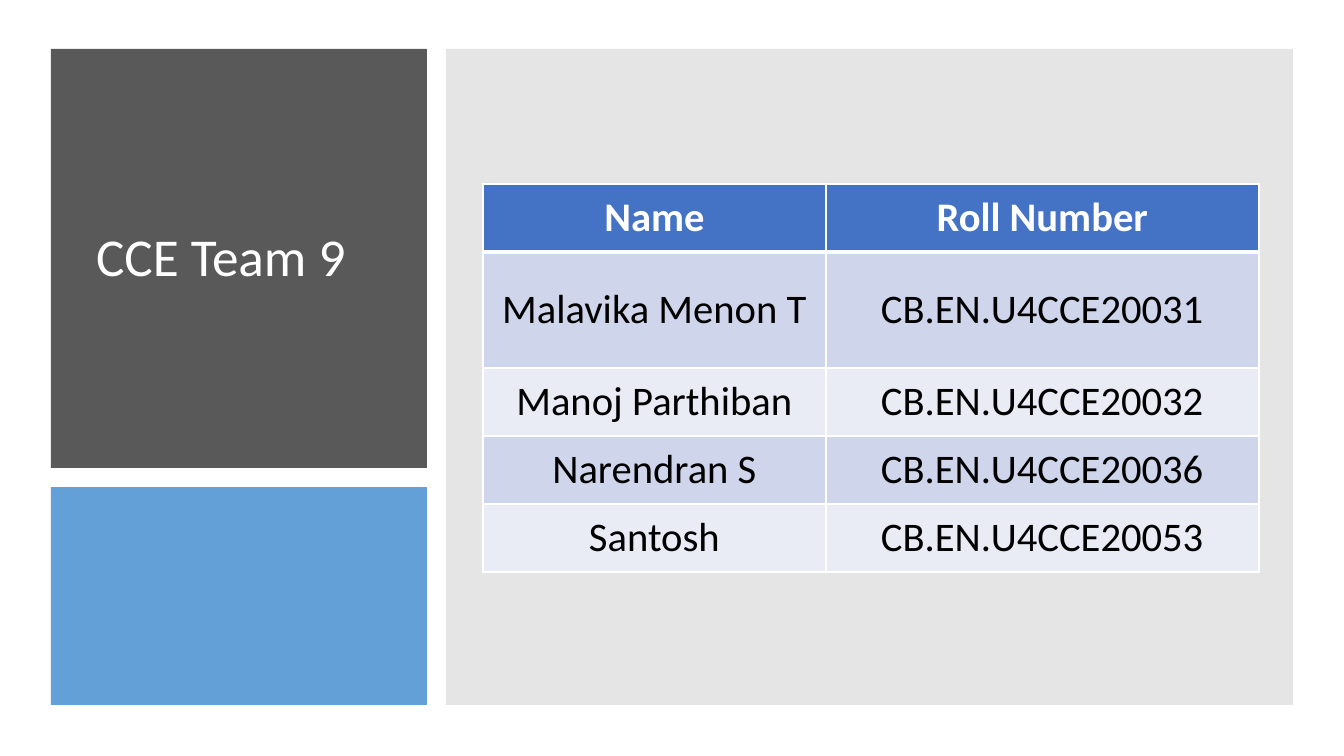
"""Build the CCE Team 9 slide with its member table."""
from lxml.etree import SubElement
from pptx import Presentation
from pptx.dml.color import RGBColor
from pptx.enum.shapes import MSO_SHAPE
from pptx.enum.text import MSO_ANCHOR, MSO_AUTO_SIZE, PP_ALIGN
from pptx.oxml.ns import qn
from pptx.util import Emu, Pt

COLORS = {
    "title panel": "595959",
    "accent panel": "5B9BD5",
    "table panel": "808080",
    "header": "4472C4",
    "odd row": "CFD5EA",
    "even row": "E9EBF5",
    "border": "FFFFFF",
    "light text": "FFFFFF",
    "dark text": "000000",
}
FONT = "Calibri"


def pixels(*lengths):
    return [Emu(round(length * 914400 / 100.8)) for length in lengths]


def format_paragraph(paragraph, size, color, alignment, bold=False):
    paragraph.alignment = alignment
    paragraph.font.name = FONT
    paragraph.font.size = Pt(size)
    paragraph.font.bold = bold
    paragraph.font.color.rgb = RGBColor.from_string(COLORS[color])


presentation = Presentation()
presentation.slide_width, presentation.slide_height = pixels(1344, 756)
slide = presentation.slides.add_slide(presentation.slide_layouts[5])

panels = [
    ("title panel", (51, 49, 376, 419), 100),
    ("accent panel", (51, 487, 376, 218), 95),
    ("table panel", (446, 49, 847, 656), 20),
]
for color, box, opacity in panels:
    panel = slide.shapes.add_shape(MSO_SHAPE.RECTANGLE, *pixels(*box))
    panel.shadow.inherit = False
    panel.line.fill.background()
    panel.fill.solid()
    panel.fill.fore_color.rgb = RGBColor.from_string(COLORS[color])
    if opacity < 100:
        color_element = panel.element.spPr.find(qn("a:solidFill"))[0]
        SubElement(color_element, qn("a:alpha"), val=str(opacity * 1000))

title = slide.shapes.title
title.left, title.top, title.width, title.height = pixels(86, 81, 313, 357)
title.text = "CCE Team 9"
title.text_frame.auto_size = MSO_AUTO_SIZE.NONE
title.text_frame.vertical_anchor = MSO_ANCHOR.MIDDLE
title_paragraph = title.text_frame.paragraphs[0]
title_paragraph.line_spacing = 0.9
format_paragraph(title_paragraph, 38, "light text", PP_ALIGN.LEFT)
panel.element.addnext(title.element)

members = [
    ("Name", "Roll Number"),
    ("Malavika Menon T", "CB.EN.U4CCE20031"),
    ("Manoj Parthiban", "CB.EN.U4CCE20032"),
    ("Narendran S", "CB.EN.U4CCE20036"),
    ("Santosh", "CB.EN.U4CCE20053"),
]
column_widths = pixels(343, 433)
row_heights = pixels(68, 116, 68, 68, 68)
table = slide.shapes.add_table(
    len(members), 2, *pixels(483, 184), sum(column_widths), sum(row_heights)
).table
for column, width in zip(table.columns, column_widths):
    column.width = width

for row_index, (row, member) in enumerate(zip(table.rows, members)):
    row.height = row_heights[row_index]
    is_header = row_index == 0
    fill = "header" if is_header else "odd row" if row_index % 2 else "even row"
    top_width = 3 if row_index == 1 else 1
    bottom_width = 3 if is_header else 1
    border_widths = {"L": 1, "R": 1, "T": top_width, "B": bottom_width}
    for cell, text in zip(row.cells, member):
        cell.text = text
        cell.vertical_anchor = MSO_ANCHOR.MIDDLE
        cell.margin_left, cell.margin_right = pixels(16, 16)
        cell.margin_top, cell.margin_bottom = pixels(8, 8)
        text_color = "light text" if is_header else "dark text"
        format_paragraph(
            cell.text_frame.paragraphs[0], 29, text_color, PP_ALIGN.CENTER, is_header
        )
        properties = cell._tc.get_or_add_tcPr()
        for side, width in border_widths.items():
            border = SubElement(properties, qn(f"a:ln{side}"), w=str(Pt(width)))
            border_fill = SubElement(border, qn("a:solidFill"))
            SubElement(border_fill, qn("a:srgbClr"), val=COLORS["border"])
        cell.fill.solid()
        cell.fill.fore_color.rgb = RGBColor.from_string(COLORS[fill])

presentation.save("out.pptx")
